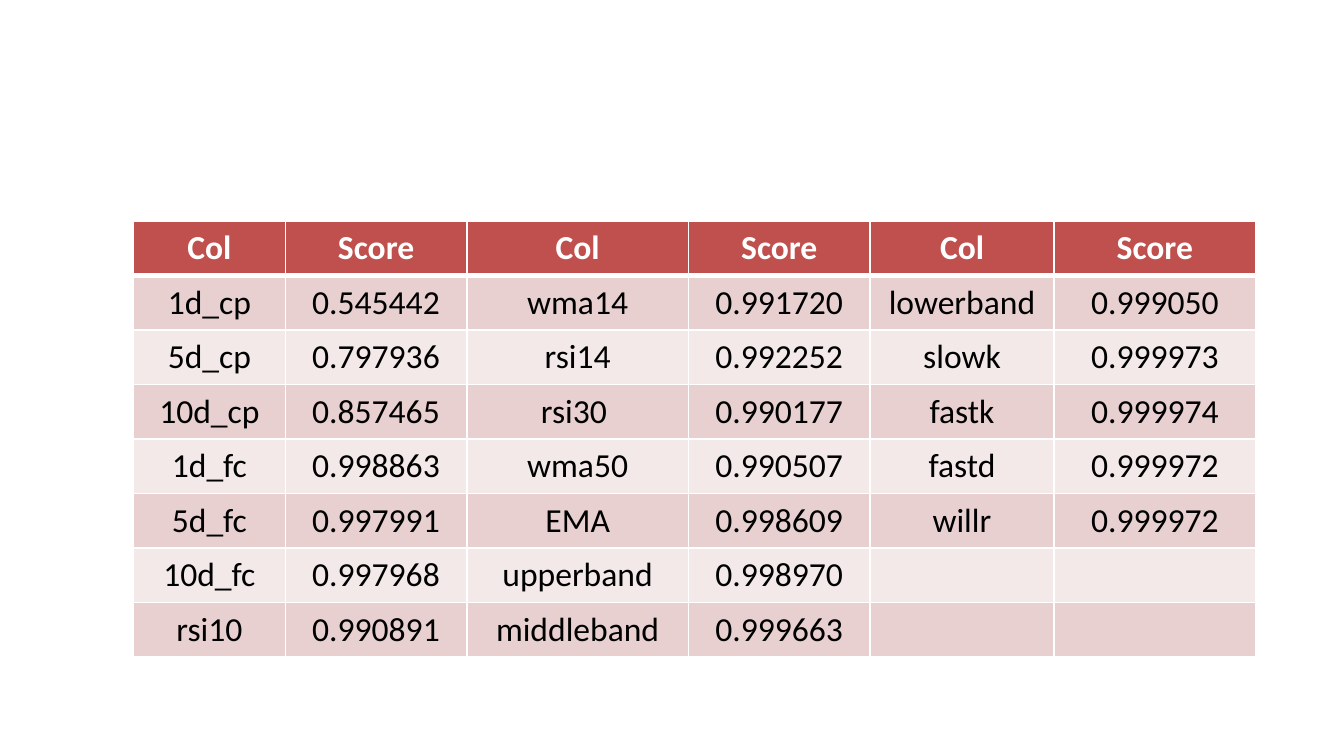
from lxml.etree import SubElement
from pptx import Presentation
from pptx.dml.color import RGBColor
from pptx.enum.text import PP_ALIGN
from pptx.oxml.ns import qn
from pptx.util import Pt

WHITE = RGBColor(0xFF, 0xFF, 0xFF)
BLACK = RGBColor(0x00, 0x00, 0x00)
HEADER_RED = RGBColor(0xC0, 0x50, 0x4D)
BAND_DARK = RGBColor(0xE8, 0xD0, 0xD0)
BAND_LIGHT = RGBColor(0xF4, 0xE9, 0xE9)

COLUMN_WIDTHS = [81.4, 97.2, 118.8, 97.2, 98.6, 108]
ROW_HEIGHT = 29.2
TABLE_HEIGHT = 254.9

SCORES = [
    ["Col", "Score", "Col", "Score", "Col", "Score"],
    ["1d_cp", "0.545442", "wma14", "0.991720", "lowerband", "0.999050"],
    ["5d_cp", "0.797936", "rsi14", "0.992252", "slowk", "0.999973"],
    ["10d_cp", "0.857465", "rsi30 ", "0.990177", "fastk", "0.999974"],
    ["1d_fc", "0.998863", "wma50", "0.990507", "fastd", "0.999972"],
    ["5d_fc", "0.997991", "EMA", "0.998609", "willr", "0.999972"],
    ["10d_fc", "0.997968", "upperband", "0.998970", "", ""],
    ["rsi10", "0.990891", "middleband", "0.999663", "", ""],
]


def write_text(frame, text, font="Calibri", size=18, color=BLACK, bold=False,
               align=PP_ALIGN.CENTER):
    para = frame.paragraphs[0]
    para.alignment = align
    span = para.add_run()
    span.text = text
    span.font.name = font
    span.font.size = Pt(size)
    span.font.bold = bold
    span.font.color.rgb = color


def set_borders(cell, color, bottom=1):
    """Draw 1 pt borders, with a bottom border of its own width."""
    properties = cell._tc.get_or_add_tcPr()
    widths = {"a:lnL": 1, "a:lnR": 1, "a:lnT": 1, "a:lnB": bottom}
    for position, (tag, width) in enumerate(widths.items()):
        line = SubElement(properties, qn(tag), w=str(Pt(width)))
        fill = SubElement(line, qn("a:solidFill"))
        SubElement(fill, qn("a:srgbClr"), val=str(color))
        properties.insert(position, line)  # borders come before the cell fill


class TablePage:
    """Holds the table style and the current slide."""

    header_fill = HEADER_RED
    band_fills = (BAND_LIGHT, BAND_DARK)
    border = WHITE

    def __init__(self, deck):
        self.page = deck.slides.add_slide(deck.slide_layouts[6])

    def add_table(self, rows, left, top, widths, row_height, height):
        frame = self.page.shapes.add_table(
            len(rows), len(widths), Pt(left), Pt(top), Pt(sum(widths)), Pt(height))
        table = frame.table
        for column, width in zip(table.columns, widths):
            column.width = Pt(width)
        for row in table.rows:
            row.height = Pt(row_height)
        frame.height = Pt(height)  # the last row takes up the spare height
        for row_index, texts in enumerate(rows):
            for column_index, text in enumerate(texts):
                self.format_cell(table.cell(row_index, column_index), text, row_index)

    def format_cell(self, cell, text, row_index):
        header = row_index == 0
        cell.fill.solid()
        cell.fill.fore_color.rgb = (
            self.header_fill if header else self.band_fills[row_index % 2])
        set_borders(cell, self.border, bottom=3 if header else 1)
        if row_index == 1:
            cell._tc.tcPr.find(qn("a:lnT")).set("w", str(Pt(3)))
        if text:
            write_text(cell.text_frame, text, bold=header,
                       color=WHITE if header else BLACK)


def main():
    deck = Presentation()
    deck.slide_width = Pt(720)
    deck.slide_height = Pt(405)
    TablePage(deck).add_table(SCORES, left=71.5, top=118.4, widths=COLUMN_WIDTHS,
                              row_height=ROW_HEIGHT, height=TABLE_HEIGHT)
    deck.save("out.pptx")


if __name__ == "__main__":
    main()
